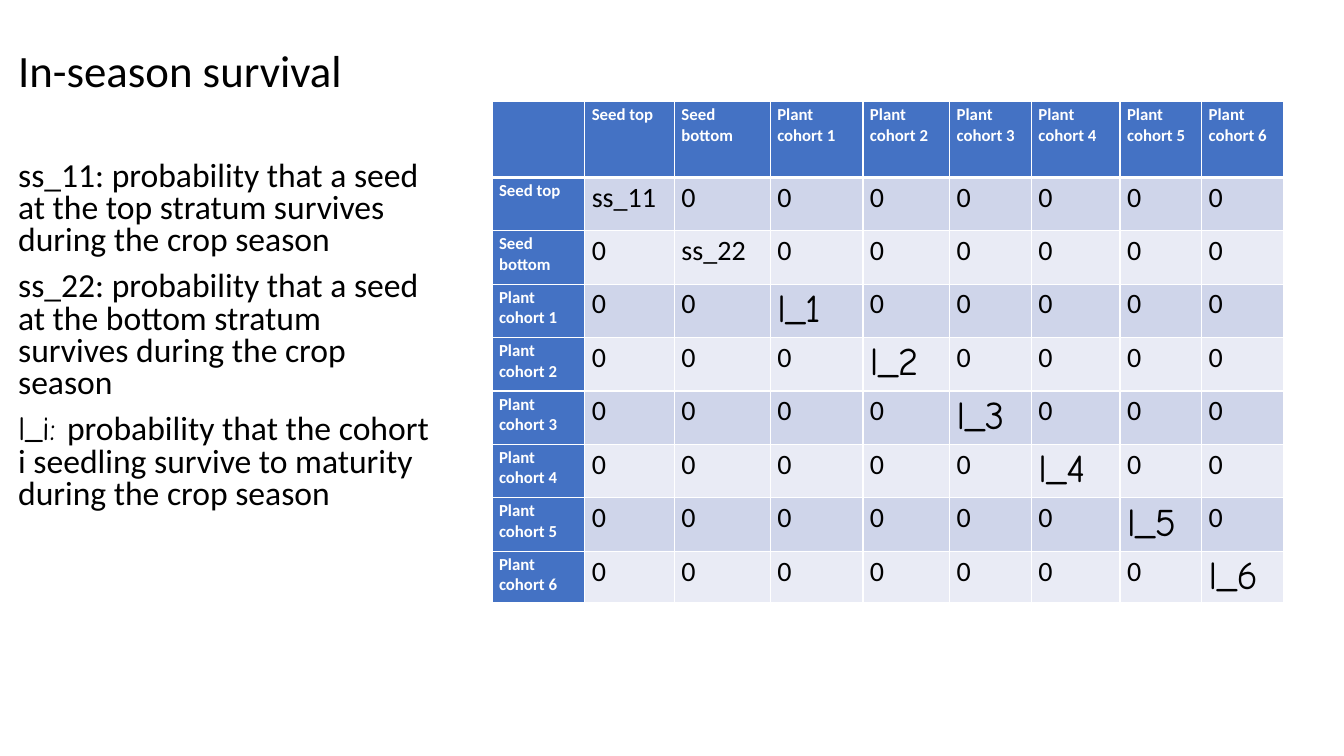
"""Build the in-season survival slide with its transition matrix."""
from dataclasses import dataclass

from lxml import etree
from pptx import Presentation
from pptx.dml.color import RGBColor
from pptx.enum.text import MSO_ANCHOR, MSO_AUTO_SIZE, PP_ALIGN
from pptx.oxml.ns import qn
from pptx.util import Inches, Pt

LEFT = PP_ALIGN.LEFT
TOP, BOTTOM = MSO_ANCHOR.TOP, MSO_ANCHOR.BOTTOM
NO_AUTOFIT = MSO_AUTO_SIZE.NONE

BLACK = RGBColor(0x00, 0x00, 0x00)
WHITE = RGBColor(0xFF, 0xFF, 0xFF)
HEADER_BLUE = RGBColor(0x44, 0x72, 0xC4)
BANDS = (RGBColor(0xCF, 0xD5, 0xEA), RGBColor(0xE9, 0xEB, 0xF5))

MAIN_FONT = "Calibri"
SYMBOL_FONT = "Comic Neue"

STAGES = ["Seed top", "Seed bottom"] + [f"Plant cohort {i}" for i in range(1, 7)]
SURVIVAL = ["ss_11", "ss_22"] + [f"l_{i}" for i in range(1, 7)]
COLUMN_WIDTHS = (0.92, 0.89, 0.95, 0.92, 0.86, 0.81, 0.88, 0.81, 0.81)
ROW_HEIGHTS = (0.75,) + (0.53,) * 7 + (0.5,)

DEFINITIONS = (
    ("ss_11: probability that a seed at the top stratum survives during the crop season",),
    ("ss_22: probability that a seed at the bottom stratum survives during the crop season",),
    ("l_i: ", "probability that the cohort i seedling survive to maturity during the crop season"),
)


@dataclass(frozen=True)
class TextStyle:
    """Character formatting of a run."""

    size: int
    font: str = MAIN_FONT
    color: RGBColor = BLACK
    bold: bool = False


TITLE = TextStyle(32)
BODY = TextStyle(24)
BODY_SYMBOL = TextStyle(24, SYMBOL_FONT)
HEADER = TextStyle(12, color=WHITE, bold=True)
VALUE = TextStyle(20)
SYMBOL = TextStyle(28, SYMBOL_FONT)


def format_run(run, style: TextStyle) -> None:
    """Apply a text style to one run."""
    run.font.size = Pt(style.size)
    run.font.name = style.font
    run.font.color.rgb = style.color
    run.font.bold = style.bold


def place(shape, left: float, top: float, width: float, height: float, anchor) -> None:
    """Position a placeholder and fix its text layout."""
    shape.left, shape.top = Inches(left), Inches(top)
    shape.width, shape.height = Inches(width), Inches(height)
    text_frame = shape.text_frame
    text_frame.word_wrap = True
    text_frame.auto_size = NO_AUTOFIT
    text_frame.vertical_anchor = anchor


def add_title(slide) -> None:
    """Write the slide title."""
    title = slide.shapes.title
    place(title, 0.08, 0.34, 3.67, 0.67, BOTTOM)
    title.text_frame.text = "In-season survival"
    paragraph = title.text_frame.paragraphs[0]
    paragraph.alignment = LEFT
    paragraph.line_spacing = 0.9
    format_run(paragraph.runs[0], TITLE)


def add_definitions(slide) -> None:
    """Write the definitions without bullets in the body placeholder."""
    body = slide.placeholders[1]
    place(body, 0.08, 1.55, 4.3, 4.17, TOP)
    for index, parts in enumerate(DEFINITIONS):
        text_frame = body.text_frame
        paragraph = text_frame.add_paragraph() if index else text_frame.paragraphs[0]
        paragraph.alignment = LEFT
        paragraph.line_spacing = 0.8
        paragraph.space_before = Pt(10)
        properties = paragraph._p.get_or_add_pPr()
        properties.set("marL", "0")
        properties.set("indent", "0")
        etree.SubElement(properties, qn("a:buNone"))
        for part in parts:
            run = paragraph.add_run()
            run.text = part
            format_run(run, BODY_SYMBOL if part.startswith("l_") else BODY)


def add_borders(cell, bottom_width: int) -> None:
    """Draw white borders around a table cell."""
    properties = cell._tc.get_or_add_tcPr()
    for side, width in (("L", 1), ("R", 1), ("T", 1), ("B", bottom_width)):
        line = etree.SubElement(properties, qn(f"a:ln{side}"), w=str(Pt(width)))
        fill = etree.SubElement(line, qn("a:solidFill"))
        etree.SubElement(fill, qn("a:srgbClr"), val=str(WHITE))


def fill_cell(cell, text: str, style: TextStyle, fill: RGBColor, bottom_width: int) -> None:
    """Write and format one table cell."""
    cell.margin_left = cell.margin_right = Inches(0.07)
    cell.margin_top = cell.margin_bottom = Inches(0.03)
    add_borders(cell, bottom_width)
    cell.fill.solid()
    cell.fill.fore_color.rgb = fill
    cell.text_frame.text = text
    for run in cell.text_frame.paragraphs[0].runs:
        format_run(run, style)


def add_survival_matrix(slide) -> None:
    """Draw the diagonal survival matrix with stage headers."""
    size = len(STAGES) + 1
    table = slide.shapes.add_table(
        size, size, Inches(4.88), Inches(1.01),
        Inches(sum(COLUMN_WIDTHS)), Inches(sum(ROW_HEIGHTS)),
    ).table
    for column, width in zip(table.columns, COLUMN_WIDTHS):
        column.width = Inches(width)
    for row, height in zip(table.rows, ROW_HEIGHTS):
        row.height = Inches(height)
    labels = [""] + STAGES
    for row in range(size):
        for column in range(size):
            if row == 0 or column == 0:
                text, style, fill = labels[row + column], HEADER, HEADER_BLUE
            else:
                text = SURVIVAL[row - 1] if row == column else "0"
                style = SYMBOL if text.startswith("l_") else VALUE
                fill = BANDS[(row - 1) % 2]
            fill_cell(table.cell(row, column), text, style, fill, 1 if row else 3)


def main() -> None:
    """Assemble and save the presentation."""
    presentation = Presentation()
    presentation.slide_width = Inches(13.33)
    presentation.slide_height = Inches(7.5)
    slide = presentation.slides.add_slide(presentation.slide_layouts[1])
    add_title(slide)
    add_definitions(slide)
    add_survival_matrix(slide)
    presentation.save("out.pptx")


main()
